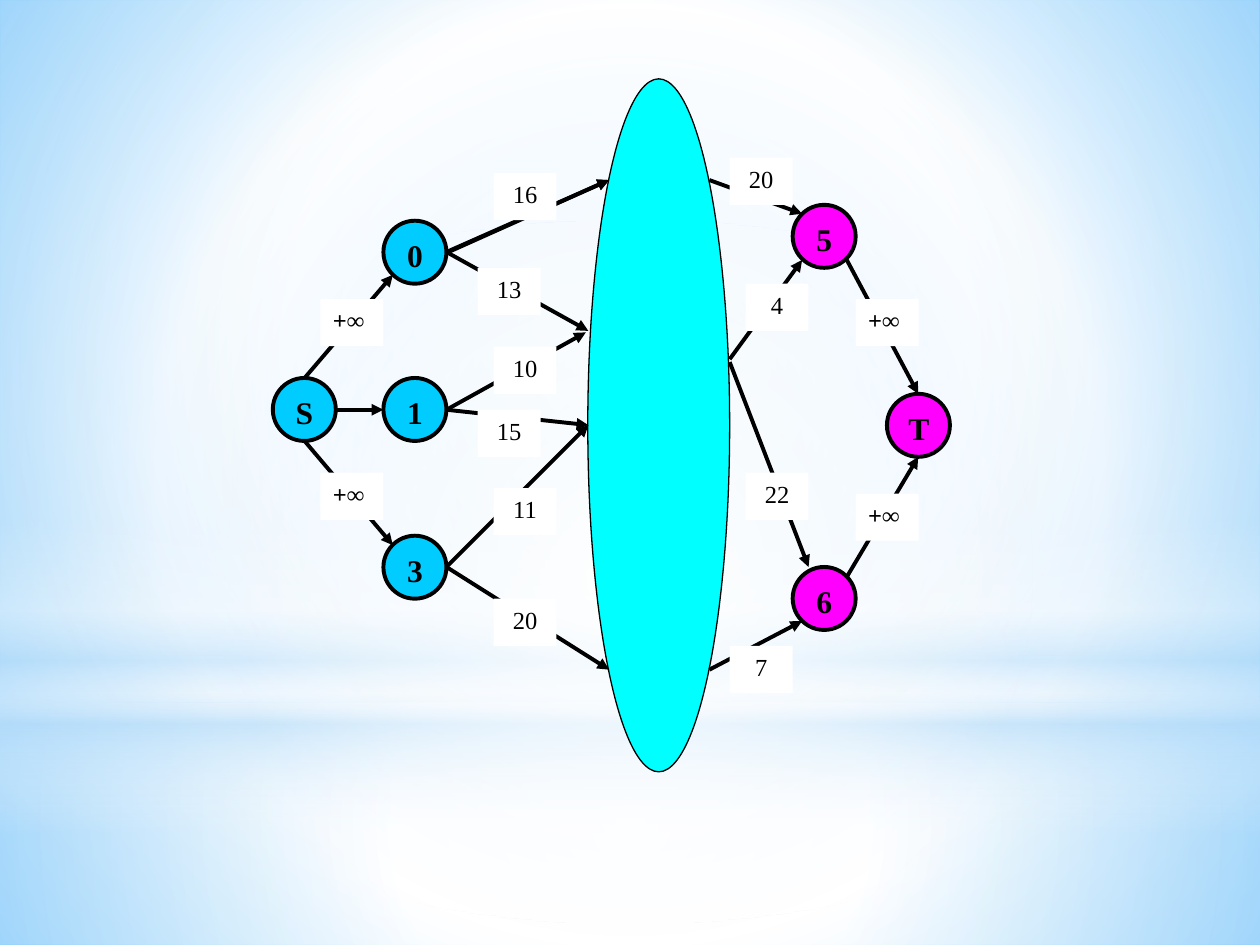
from pptx import Presentation
from pptx.dml.color import RGBColor
from pptx.enum.shapes import MSO_CONNECTOR as Link, MSO_SHAPE as Shape
from pptx.enum.text import MSO_ANCHOR as Anchor, PP_ALIGN as Align
from pptx.oxml import parse_xml
from pptx.oxml.ns import nsdecls
from pptx.util import Cm, Pt

WIDTH, HEIGHT = 25.4, 19.05
HORIZON = 14.17
NODE = 1.27
LABEL_WIDTH, LABEL_HEIGHT = 1.27, 0.95
SOURCE_COLOR, SINK_COLOR, CORE_COLOR = "00CCFF", "FF00FF", "00FFFF"

BACKDROP = [(0, "99D4FE", 100), (60, "FFFFFF", 100), (100, "54BDFF", 100)]
PANELS = [
    (Shape.RECTANGLE, 0, HORIZON, HEIGHT - HORIZON, None,
     [(0, "FFFFFF", 91), (37, "FFFFFF", 76), (100, "B4DCFA", 79)]),
    (Shape.RECTANGLE, 0, 0, HORIZON, None,
     [(0, "FFFFFF", 89), (48, "FFFFFF", 62), (100, "B4DCFA", 79)]),
    (Shape.RECTANGLE, 0, 10.46, 6.35, 90,
     [(0, "FFFFFF", 0), (29, "FFFFFF", 30), (45, "B4DCFA", 40),
      (55, "FFFFFF", 26), (65, "B4DCFA", 60), (100, "FFFFFF", 0)]),
    (Shape.OVAL, 0, 4.45, HORIZON, None,
     [(0, "FFFFFF", 100), (56, "FFFFFF", 0), (100, "FFFFFF", 0)]),
]
NODES = [
    ("S", 5.5, 7.62, SOURCE_COLOR), ("0", 7.73, 4.45, SOURCE_COLOR),
    ("1", 7.73, 7.62, SOURCE_COLOR), ("3", 7.73, 10.8, SOURCE_COLOR),
    ("5", 15.98, 4.13, SINK_COLOR), ("6", 15.98, 11.43, SINK_COLOR),
    ("T", 17.88, 7.94, SINK_COLOR),
]
ARROWS = [
    (9, 5.1, 12.28, 3.63), (9, 5.08, 12.28, 3.63), (9, 5.08, 11.86, 6.67),
    (9, 8.26, 11.81, 6.7), (9, 8.26, 11.86, 8.57),
    (9, 11.43, 11.86, 8.57), (9, 11.43, 12.28, 13.5),
    (14.3, 3.63, 16.17, 4.31), (14.71, 7.3, 16.3, 11.43),
    (14.3, 13.5, 16.17, 12.52), (14.71, 7.24, 16.17, 5.24),
    (6.14, 7.62, 7.92, 5.54), (6.14, 8.89, 7.92, 10.99),
    (6.77, 8.26, 7.73, 8.26),
    (17.07, 5.24, 18.51, 7.94), (17.07, 11.63, 18.51, 9.21),
]
CAPACITIES = [
    ("16", 9.95, 3.49), ("13", 9.63, 5.4), ("10", 9.95, 6.99),
    ("15", 9.63, 8.26), ("11", 9.95, 9.84), ("20", 9.95, 12.07),
    ("20", 14.71, 3.18), ("4", 15.03, 5.72), ("22", 15.03, 9.53),
    ("7", 14.71, 13.02),
]
UNLIMITED = [(6.46, 9.53), (6.46, 6.03), (17.25, 9.95), (17.25, 6.03)]


def color(value):
    return RGBColor.from_string(value)


def write(box, text, size=14, bold=False, align=Align.CENTER, ink="000000",
          font="Times New Roman"):
    frame = box.text_frame
    frame.vertical_anchor = Anchor.TOP
    para = frame.paragraphs[0]
    para.alignment = align
    span = para.add_run()
    span.text = text
    span.font.name, span.font.size, span.font.bold = font, Pt(size), bold
    span.font.color.rgb = color(ink)


def blend(fill, holder, stops, angle=None):
    fill.solid()
    fill.fore_color.rgb = color("FFFFFF")
    marks = "".join(
        f'<a:gs pos="{place * 1000}"><a:srgbClr val="{value}">'
        f'<a:alpha val="{opacity * 1000}"/></a:srgbClr></a:gs>'
        for place, value, opacity in stops)
    if angle is None:
        course = ('<a:path path="circle"><a:fillToRect l="50000" t="50000" '
                  'r="50000" b="50000"/></a:path>')
    else:
        course = f'<a:lin ang="{angle * 60000}" scaled="0"/>'
    gradient = parse_xml(f'<a:gradFill {nsdecls("a")} rotWithShape="1">'
                         f'<a:gsLst>{marks}</a:gsLst>{course}</a:gradFill>')
    solid = holder.find("{*}solidFill")
    holder.replace(solid, gradient)


class FlowSlide:
    """Draws the parts of a flow network on one slide in a shared style."""

    def __init__(self, page, ink="000000", weight=2.25):
        self.page, self.ink, self.weight = page, ink, weight

    def backdrop(self, stops):
        fill = self.page.background.fill
        fill.solid()
        blend(fill, self.page.element.find(".//{*}bgPr"), stops)

    def shape(self, kind, left, top, width, height, fill=None, weight=None):
        box = self.page.shapes.add_shape(
            kind, Cm(left), Cm(top), Cm(width), Cm(height))
        box.shadow.inherit = False
        if fill:
            box.fill.solid()
            box.fill.fore_color.rgb = color(fill)
        if weight:
            box.line.color.rgb = color(self.ink)
            box.line.width = Pt(weight)
        else:
            box.line.fill.background()
        return box

    def panel(self, kind, left, top, height, angle, stops):
        box = self.shape(kind, left, top, WIDTH, height)
        blend(box.fill, box.element.spPr, stops, angle)

    def node(self, name, left, top, fill):
        box = self.shape(Shape.OVAL, left, top, NODE, NODE, fill, self.weight)
        write(box, name, size=18, bold=True)

    def label(self, text, left, top, **style):
        box = self.shape(Shape.RECTANGLE, left, top, LABEL_WIDTH,
                         LABEL_HEIGHT, "FFFFFF")
        write(box, text, **style)

    def arrow(self, *ends):
        link = self.page.shapes.add_connector(
            Link.STRAIGHT, *(Cm(end) for end in ends))
        link.line.color.rgb = color(self.ink)
        link.line.width = Pt(self.weight)
        link.line._get_or_add_ln().append(
            parse_xml(f'<a:tailEnd {nsdecls("a")} type="triangle"/>'))
        link._element.spPr.append(
            parse_xml(f'<a:effectLst {nsdecls("a")}/>'))


def main():
    deck = Presentation()
    deck.slide_width, deck.slide_height = Cm(WIDTH), Cm(HEIGHT)
    flow = FlowSlide(deck.slides.add_slide(deck.slide_layouts[6]))
    flow.backdrop(BACKDROP)
    for panel in PANELS:
        flow.panel(*panel)
    for node in NODES:
        flow.node(*node)
    flow.shape(Shape.OVAL, 11.85, 1.59, 2.86, 13.97, CORE_COLOR, 0.75)
    for arrow in ARROWS:
        flow.arrow(*arrow)
    for capacity in CAPACITIES:
        flow.label(*capacity)
    for left, top in UNLIMITED:
        flow.label("+∞", left, top, bold=True, align=Align.LEFT)
    deck.save("out.pptx")


if __name__ == "__main__":
    main()
